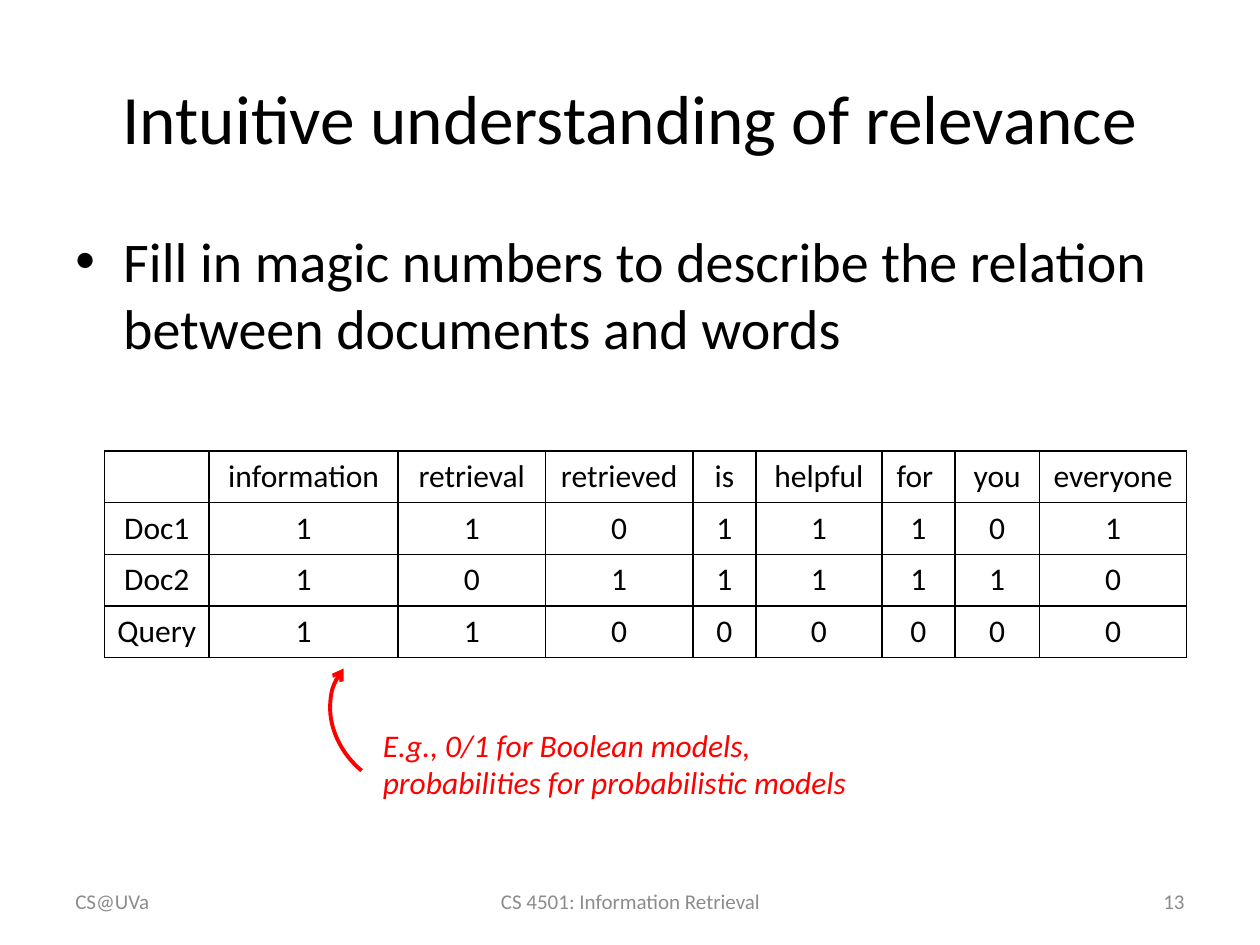
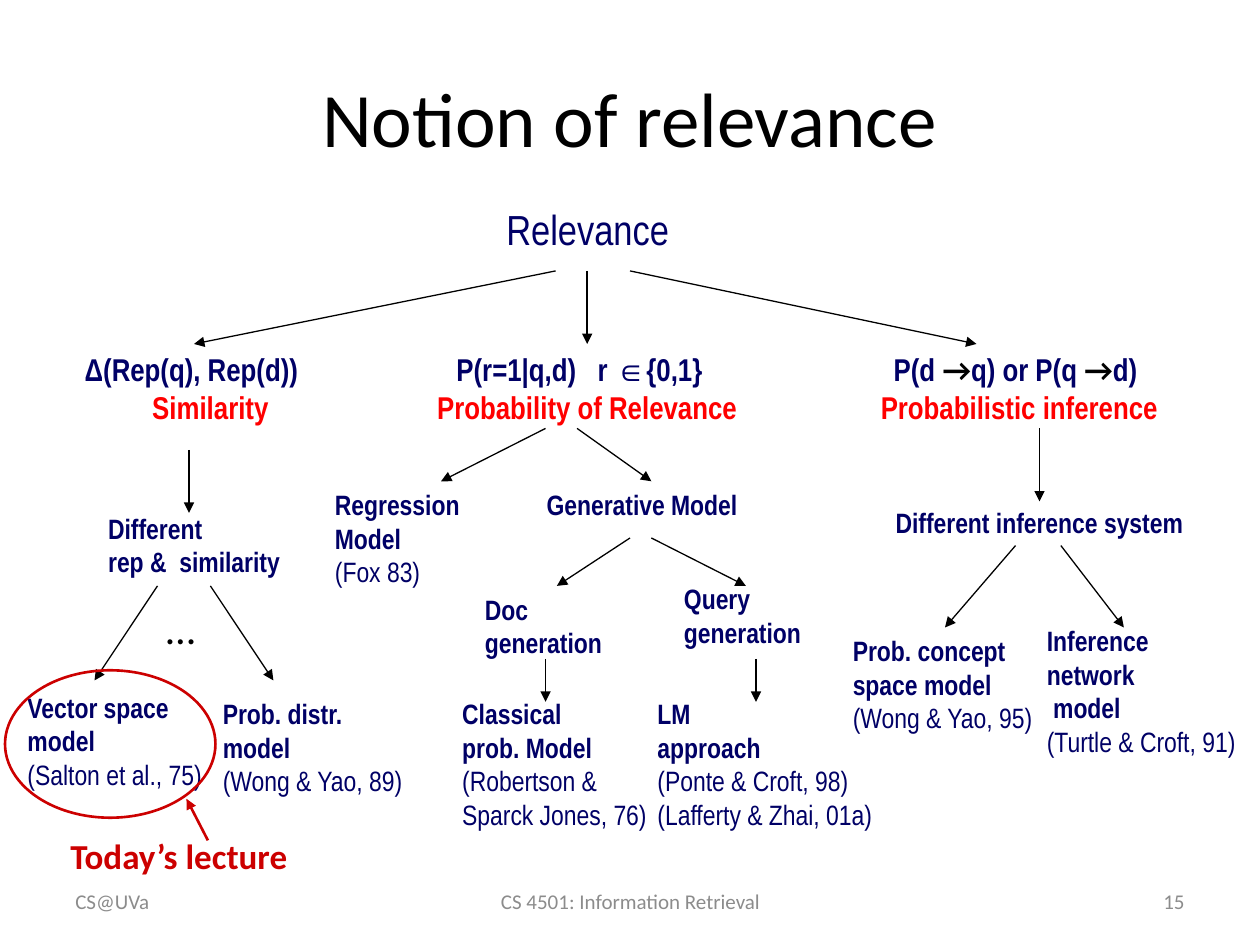
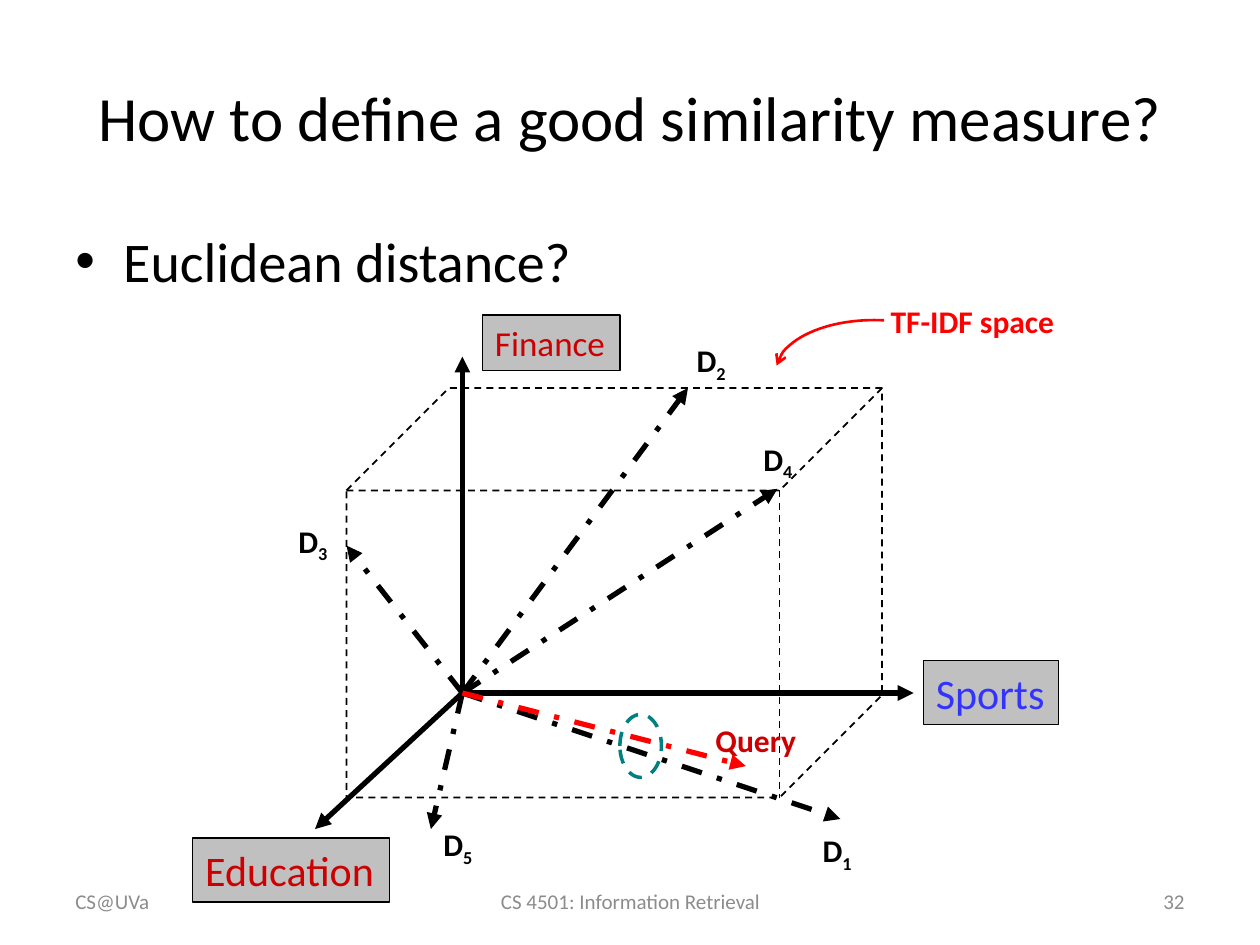
from lxml import etree
from pptx import Presentation
from pptx.dml.color import RGBColor
from pptx.enum.dml import MSO_LINE_DASH_STYLE as DASH
from pptx.enum.shapes import MSO_CONNECTOR, MSO_SHAPE as SHAPE
from pptx.enum.text import MSO_ANCHOR as ANCHOR, MSO_AUTO_SIZE as AUTO, PP_ALIGN as ALIGN
from pptx.oxml.ns import qn
from pptx.util import Inches, Pt

COLORS = {
    "black": "000000", "footer": "8C8C8C", "red": "FF0000", "dark_red": "CC0000",
    "navy": "000066", "blue": "3333FF", "gray": "C0C0C0", "teal": "008080",
}
FONT, NARROW = "Calibri", "Arial Narrow"
COURSE = "CS 4501: Information Retrieval"
TREE = {"name": NARROW, "color": "navy"}
BOLD = {"bold": True}


def rgb(name):
    return RGBColor.from_string(COLORS[name])


def inches(*values):
    return [Inches(v) for v in values]


def add_run(p, content, **fmt):
    r = p.add_run()
    r.text = content
    fmt = {"name": FONT, "size": 18, "color": "black", **fmt}
    r.font.color.rgb = rgb(fmt.pop("color"))
    fmt["size"] = Pt(fmt["size"])
    baseline = fmt.pop("baseline", None)
    for attr, value in fmt.items():
        setattr(r.font, attr, value)
    if baseline:
        r._r.get_or_add_rPr().set("baseline", str(baseline * 1000))


def fill_text(tf, paras, align=ALIGN.LEFT, **fmt):
    """Write paragraphs; each is a string or a list of (text, format) runs."""
    for i, para in enumerate(paras):
        p = tf.paragraphs[0] if i == 0 else tf.add_paragraph()
        p.alignment = align
        runs = [(para, {})] if isinstance(para, str) else para
        for content, changes in runs:
            add_run(p, content, **{**fmt, **changes})


def add_text(s, box, paras, wrap=False, anchor=ANCHOR.TOP, **fmt):
    tf = s.shapes.add_textbox(*inches(*box)).text_frame
    tf.word_wrap = wrap
    tf.auto_size = AUTO.NONE if wrap else AUTO.SHAPE_TO_FIT_TEXT
    tf.vertical_anchor = anchor
    fill_text(tf, paras, **fmt)
    return tf


def set_indent(p, left, first=0):
    pPr = p._p.get_or_add_pPr()
    pPr.set("marL", str(Inches(left)))
    pPr.set("indent", str(Inches(first)))
    return pPr


def add_bullet(s, content):
    tf = add_text(s, (0.5, 1.75, 9, 4.95), [content], wrap=True, size=32)
    pPr = set_indent(tf.paragraphs[0], 0.38, -0.38)
    etree.SubElement(pPr, qn("a:buFont")).set("typeface", "Arial")
    etree.SubElement(pPr, qn("a:buChar")).set("char", "•")


def style_line(line, color, width, dash=None):
    line.color.rgb = rgb(color)
    line.width = Pt(width)
    if dash:
        line.dash_style = dash


def add_head(line, end, kind):
    etree.SubElement(line._get_or_add_ln(), qn(f"a:{end}")).set("type", kind)


def add_arrow(s, start, end, color="black", width=0.75, dash=None):
    c = s.shapes.add_connector(MSO_CONNECTOR.STRAIGHT, *inches(*start, *end))
    style_line(c.line, color, width, dash)
    add_head(c.line, "tailEnd", "triangle")
    etree.SubElement(c._element.spPr, qn("a:effectLst"))


def add_outline(s, kind, box, color, width, dash=None, fill=None):
    sp = s.shapes.add_shape(kind, *inches(*box))
    sp.shadow.inherit = False
    if fill:
        sp.fill.solid()
        sp.fill.fore_color.rgb = rgb(fill)
    else:
        sp.fill.background()
    style_line(sp.line, color, width, dash)
    return sp


def add_arc(s, box, width, end, rotation=0, angles=(270, 0)):
    sp = add_outline(s, SHAPE.ARC, box, "red", width)
    sp.rotation = rotation
    for i, angle in enumerate(angles):
        sp.adjustments[i] = angle * 0.6  # 60000 units a degree, scaled by 100000
    add_head(sp.line, end, "arrow")


def add_slide(prs, title, number, title_size):
    s = prs.slides.add_slide(prs.slide_layouts[6])
    bars = [
        ((0.5, 0.3, 9, 1.25), title, ALIGN.CENTER, title_size, "black"),
        ((0.5, 6.95, 2.33, 0.4), "CS@UVa", ALIGN.LEFT, 12, "footer"),
        ((3.42, 6.95, 3.17, 0.4), COURSE, ALIGN.CENTER, 12, "footer"),
        ((7.17, 6.95, 2.33, 0.4), str(number), ALIGN.RIGHT, 12, "footer"),
    ]
    for box, content, align, size, color in bars:
        add_text(s, box, [content], wrap=True, anchor=ANCHOR.MIDDLE,
                 align=align, size=size, color=color)
    return s


def add_borders(cell):
    tcPr = cell._tc.get_or_add_tcPr()
    for side in ("lnL", "lnR", "lnT", "lnB"):
        ln = etree.SubElement(tcPr, qn(f"a:{side}"), w=str(Pt(1)))
        fill = etree.SubElement(ln, qn("a:solidFill"))
        etree.SubElement(fill, qn("a:srgbClr")).set("val", COLORS["black"])


def add_grid(s, left, top, widths, row_height, rows):
    box = inches(left, top, sum(widths), row_height * len(rows))
    table = s.shapes.add_table(len(rows), len(widths), *box).table
    table.first_row = table.horz_banding = False
    for col, width in zip(table.columns, widths):
        col.width = Inches(width)
    for i, row in enumerate(rows):
        table.rows[i].height = Inches(row_height)
        for j, value in enumerate(row):
            cell = table.cell(i, j)
            add_borders(cell)
            cell.fill.background()
            if value:
                fill_text(cell.text_frame, [value], align=ALIGN.CENTER)


def add_branch(s, center, formula, label, label_indent):
    """Formula over a red label, which is shifted right by half its indent."""
    width = 2.9
    tf = add_text(s, (center - width / 2, 2.73, width, 0.7),
                  [formula, [(label, {"color": "red"})]],
                  wrap=True, align=ALIGN.CENTER, **TREE, **BOLD)
    set_indent(tf.paragraphs[1], label_indent)


def add_node(s, left, top, width, names, sources=()):
    """Model name in bold lines, then its sources in plain lines."""
    paras = [[(n, BOLD)] for n in names] + list(sources)
    height = 0.1 + 0.27 * len(paras)
    add_text(s, (left, top, width, height), paras, size=16, **TREE)


def add_axis_label(s, box, content, color, size):
    sp = add_outline(s, SHAPE.RECTANGLE, box, "black", 0.75, fill="gray")
    tf = sp.text_frame
    tf.word_wrap = False
    tf.auto_size = AUTO.SHAPE_TO_FIT_TEXT
    fill_text(tf, [content], color=color, size=size)


def build_relevance_table(prs):
    s = add_slide(prs, "Intuitive understanding of relevance", 13, 39.6)
    add_bullet(s, "Fill in magic numbers to describe the relation between documents and words")
    words = ["information", "retrieval", "retrieved", "is", "helpful", "for ", "you", "everyone"]
    weights = {"Doc1": "11011101", "Doc2": "10111110", "Query": "11000000"}
    rows = [["", *words]] + [[name, *bits] for name, bits in weights.items()]
    widths = [0.83, 1.5, 1.17, 1.17, 0.5, 1, 0.58, 0.67, 1.17]
    add_grid(s, 0.83, 3.58, widths, 0.41, rows)
    add_text(s, (2.94, 5.71, 4, 0.71),
             ["E.g., 0/1 for Boolean models, probabilities for probabilistic models"],
             wrap=True, color="red", italic=True)
    add_arc(s, (2.58, 5.18, 1.26, 1.06), 2.25, "tailEnd", rotation=220)


def build_relevance_tree(prs):
    s = add_slide(prs, "Notion of relevance", 15, 44)
    add_text(s, (3.92, 1.57, 1.5, 0.5), ["Relevance"], size=24, **TREE)

    implies = ("→", {"name": FONT, "color": "black"})
    inference = [("P(d ", {}), implies, ("q) or P(q ", {}), implies, ("d)", {})]
    add_branch(s, 1.52, "Δ(Rep(q), Rep(d))", "Similarity", 0.3)
    add_branch(s, 4.6, "P(r=1|q,d)   r ∈{0,1}", "Probability of Relevance", 0.12)
    add_branch(s, 8.06, inference, "Probabilistic inference", 0.06)

    nodes = [
        (0.76, 4.01, 1.62, ["Different", "rep &  similarity"]),
        (0.12, 5.43, 1.64, ["Vector space", "model"], ["(Salton et al., 75)"]),
        (1.67, 5.48, 1.66, ["Prob. distr.", "model"], ["(Wong & Yao, 89)"]),
        (2.56, 3.82, 1.21, ["Regression", "Model"], ["(Fox 83)"]),
        (4.24, 3.82, 1.74, ["Generative Model"]),
        (3.75, 4.65, 1.15, ["Doc", "generation"]),
        (5.33, 4.57, 1.15, ["Query", "generation"]),
        (3.57, 5.48, 1.69, ["Classical", "prob. Model"], ["(Robertson &", "Sparck Jones, 76)"]),
        (5.12, 5.48, 1.93, ["LM", "approach"], ["(Ponte & Croft, 98)", "(Lafferty & Zhai, 01a)"]),
        (7.01, 3.96, 2.5, ["Different inference system"]),
        (6.67, 4.98, 1.66, ["Prob. concept", "space model"], ["(Wong & Yao, 95)"]),
        (8.21, 4.9, 1.72, ["Inference", "network", " model"], ["(Turtle & Croft, 91)"]),
    ]
    for node in nodes:
        add_node(s, *node)
    add_text(s, (1.22, 4.73, 0.53, 0.5), ["…"], size=24)

    # (top, bottom) of a level, then the (start, end) x of its arrows
    levels = [
        (2.15, 2.73, [(4.41, 1.54), (4.66, 4.66), (5, 7.75)]),
        (3.57, 4.07, [(1.5, 1.5)]),
        (3.4, 3.82, [(4.33, 3.5), (4.58, 5.17)]),
        (3.4, 3.98, [(8.25, 8.25)]),
        (4.65, 5.4, [(1.25, 0.75), (1.67, 2.17)]),
        (4.27, 4.65, [(5, 4.42), (5.17, 5.92)]),
        (4.33, 4.98, [(8.06, 7.5), (8.42, 8.92)]),
        (5.23, 5.57, [(4.33, 4.33), (6, 6)]),
    ]
    for top, bottom, spans in levels:
        for x1, x2 in spans:
            add_arrow(s, (x1, top), (x2, bottom))

    add_outline(s, SHAPE.OVAL, (0.04, 5.32, 1.67, 1.17), "dark_red", 1.5)
    add_text(s, (0.46, 6.57, 2.04, 0.43), ["Today’s lecture"],
             size=20, color="dark_red", **BOLD)
    add_arrow(s, (1.65, 6.67), (1.48, 6.34), "dark_red", 1.5)


def build_vector_space(prs):
    s = add_slide(prs, "How to define a good similarity measure?", 32, 36)
    add_bullet(s, "Euclidean distance?")
    add_outline(s, SHAPE.CUBE, (2.75, 3.08, 4.25, 3.25), "black", 1, DASH.DASH)

    origin = (3.67, 5.5)
    axes = [
        ((2.5, 6.58), (1.53, 6.65, 1.56, 0.51), "Education", "dark_red", 24),
        ((7.25, 5.5), (7.33, 5.24, 1.07, 0.51), "Sports", "blue", 24),
        ((3.67, 2.83), (3.83, 2.5, 1.09, 0.44), "Finance", "dark_red", 20),
    ]
    for tip, box, content, color, size in axes:
        add_arrow(s, origin, tip, width=3)
        add_axis_label(s, box, content, color, size)

    documents = [
        ("1", (6.67, 6.5), (6.43, 6.55)),
        ("2", (5.46, 3.08), (5.43, 2.66)),
        ("3", (2.75, 4.33), (2.27, 4.09)),
        ("4", (6.17, 3.88), (5.96, 3.44)),
        ("5", (3.42, 6.58), (3.42, 6.5)),
    ]
    for number, tip, corner in documents:
        add_arrow(s, origin, tip, width=3, dash=DASH.DASH_DOT)
        add_text(s, (*corner, 0.46, 0.4),
                 [[("D", {}), (number, {"baseline": -25})]], **BOLD)

    add_arrow(s, origin, (5.92, 6.08), "red", 3, DASH.DASH_DOT)
    add_text(s, (5.58, 5.67, 0.88, 0.4), ["Query"], color="dark_red", **BOLD)
    add_outline(s, SHAPE.OVAL, (4.92, 5.67, 0.33, 0.5), "teal", 2, DASH.DASH)
    add_text(s, (6.97, 2.35, 2.17, 0.4), ["TF-IDF space"], wrap=True, color="red", **BOLD)
    add_arc(s, (6.16, 2.54, 1.56, 0.81), 1.5, "headEnd", angles=(183.2, 280.8))


def main():
    prs = Presentation()
    prs.slide_width, prs.slide_height = inches(10, 7.5)
    build_relevance_table(prs)
    build_relevance_tree(prs)
    build_vector_space(prs)
    prs.save("out.pptx")


if __name__ == "__main__":
    main()
